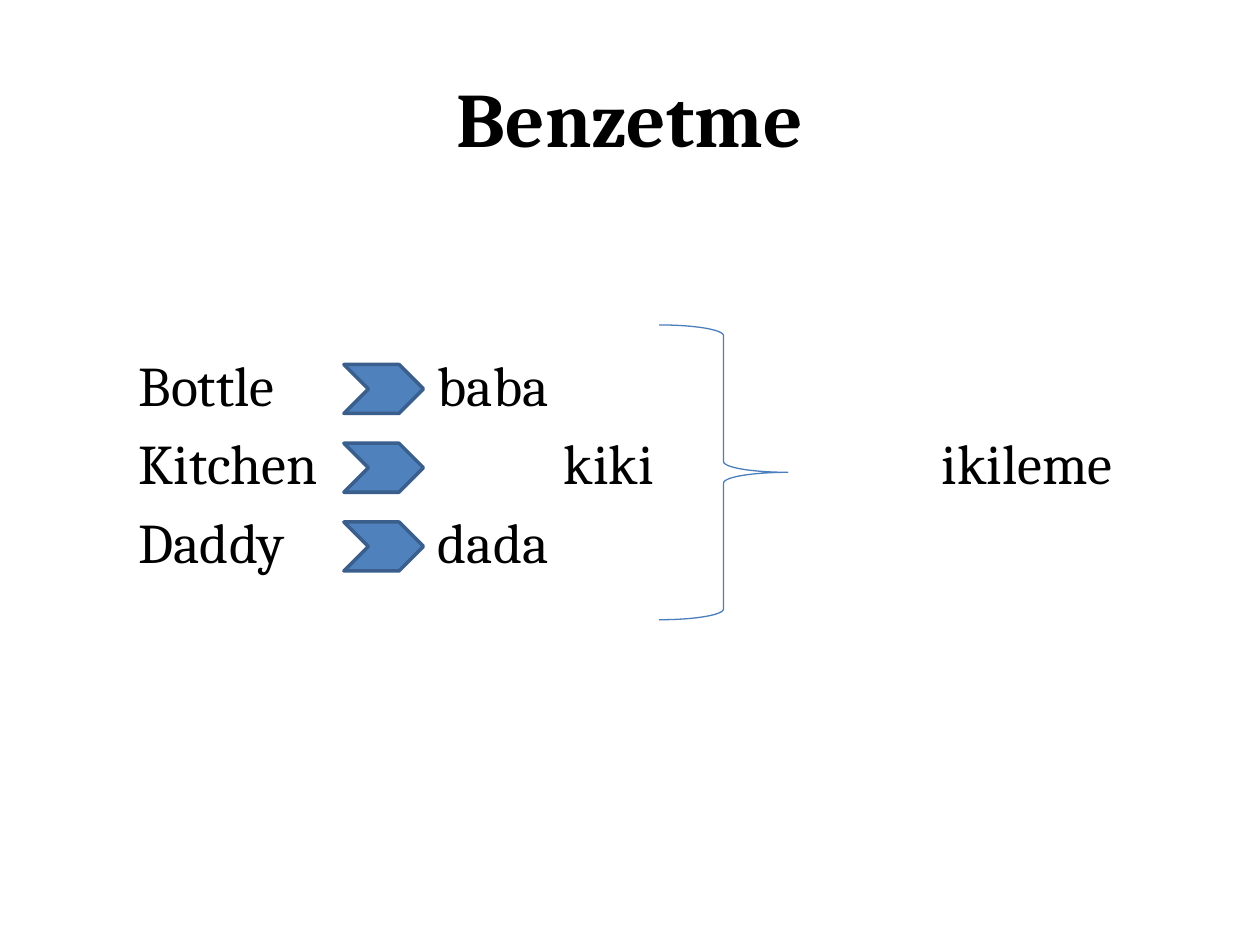
from lxml import etree
from pptx import Presentation
from pptx.dml.color import RGBColor
from pptx.enum.shapes import MSO_SHAPE
from pptx.enum.text import MSO_ANCHOR, PP_ALIGN
from pptx.oxml.ns import qn
from pptx.util import Pt

CHEVRON, BRACE = MSO_SHAPE.CHEVRON, MSO_SHAPE.RIGHT_BRACE
FONT = "Cambria"
COLORS = {
    "text": "000000",
    "chevron": "4F81BD",
    "chevron_line": "3A5F8C",
    "brace": "4B7EBC",
}
ROW_PITCH = 45
TAB_STEP = 72
ROWS = ["Bottle\t\tbaba", "Kitchen\t\tkiki\t\t\tikileme", "Daddy\t\tdada"]


def color(name):
    return RGBColor.from_string(COLORS[name])


def place(sp, box):
    sp.left, sp.top, sp.width, sp.height = (Pt(v) for v in box)


def add_run(p, text, size, bold=False):
    r = p.add_run()
    r.text = text
    r.font.name = FONT
    r.font.size = Pt(size)
    r.font.bold = bold
    r.font.color.rgb = color("text")


def add_outlined(slide, kind, box, line, width, fill=None):
    sp = slide.shapes.add_shape(kind, *(Pt(v) for v in box))
    sp.shadow.inherit = False
    if fill:
        sp.fill.solid()
        sp.fill.fore_color.rgb = color(fill)
    else:
        sp.fill.background()
    sp.line.color.rgb = color(line)
    sp.line.width = Pt(width)


def fill_title(slide, box, text):
    sp = slide.shapes.title
    place(sp, box)
    tf = sp.text_frame
    tf.vertical_anchor = MSO_ANCHOR.MIDDLE
    p = tf.paragraphs[0]
    p.alignment = PP_ALIGN.CENTER
    add_run(p, text, 44, bold=True)


def fill_word_list(slide, box):
    """Unbulleted rows whose columns sit on evenly spaced tab stops."""
    sp = slide.placeholders[1]
    place(sp, box)
    tf = sp.text_frame
    for i, row in enumerate(ROWS):
        p = tf.add_paragraph() if i else tf.paragraphs[0]
        props = p._p.get_or_add_pPr()
        props.set("defTabSz", str(Pt(TAB_STEP)))
        etree.SubElement(props, qn("a:buNone"))
        add_run(p, row, 32)


def add_row_marks(slide, box):
    """One chevron per row, and a brace that gathers the rows."""
    x, y, w, h = box
    brace_w = 73.5
    add_outlined(slide, BRACE, (x + w - brace_w, y, brace_w, h), "brace", 0.75)
    for i in range(len(ROWS)):
        chevron = (x, y + 22.6 + i * ROW_PITCH, 45.5, 28)
        add_outlined(slide, CHEVRON, chevron, "chevron_line", 2, "chevron")


def main():
    prs = Presentation()
    prs.slide_width, prs.slide_height = Pt(720), Pt(540)
    slide = prs.slides.add_slide(prs.slide_layouts[1])
    fill_title(slide, (36, 21.6, 648, 90), "Benzetme")
    fill_word_list(slide, (72, 196.6, 648, 311))
    add_row_marks(slide, (196.5, 185.7, 253.7, 168.5))
    prs.save("out.pptx")


if __name__ == "__main__":
    main()
